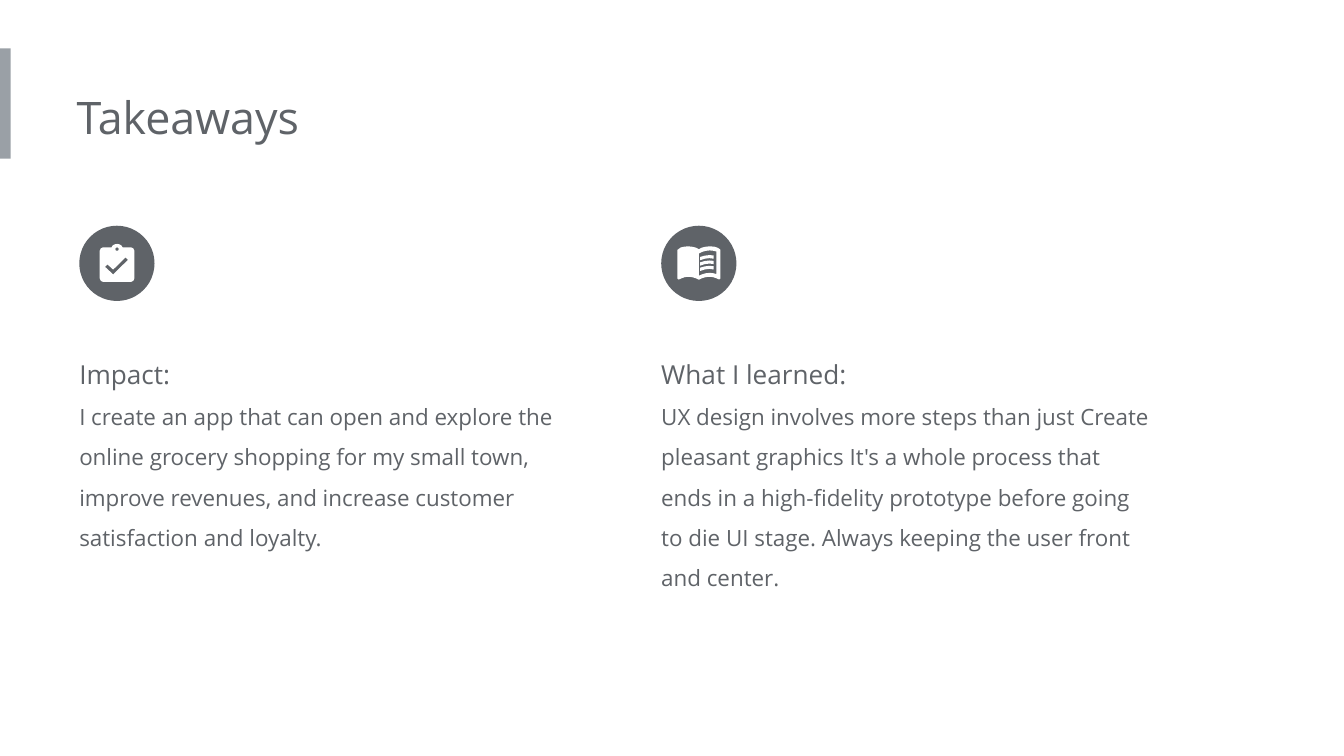
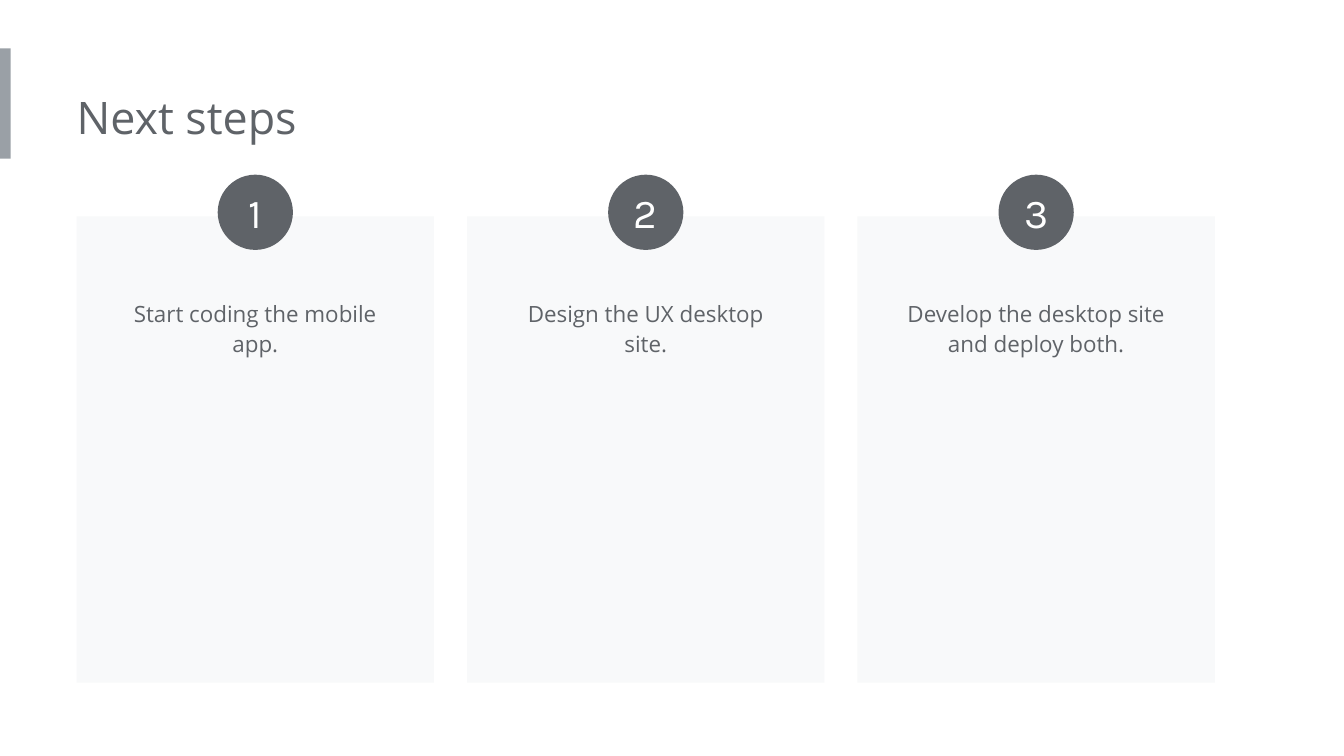
"""Builds the takeaways and next steps slides of a UX case study."""
from dataclasses import dataclass
from pptx import Presentation
from pptx.dml.color import RGBColor
from pptx.enum.shapes import MSO_SHAPE
from pptx.enum.text import MSO_ANCHOR, MSO_AUTO_SIZE, PP_ALIGN
from pptx.util import Inches, Pt

TAKEAWAYS = {
    "title": "Takeaways",
    "columns": [
        ("Impact:",
         "I create an app that can open and explore the online grocery shopping "
         "for my small town, improve revenues, and increase customer satisfaction "
         "and loyalty.", "clipboard", 1.77),
        ("What I learned:",
         "UX design involves more steps than just Create pleasant graphics It's a "
         "whole process that ends in a high-fidelity prototype before going to die "
         "UI stage. Always keeping the user front and center.", "book", 2.07),
    ],
}
NEXT_STEPS = {
    "title": "Next steps",
    "steps": ["Start coding the mobile app.", "Design the UX desktop site.",
              "Develop the desktop site and deploy both."],
}

BOOK_LINES = [
    [(290, 232 + drop), (325, 222 + drop), (360, 218 + drop), (390, 221 + drop),
     (390, 245 + drop), (360, 241 + drop), (325, 245 + drop), (290, 256 + drop)]
    for drop in (0, 40, 80)
]
ICONS = {
    "clipboard": [[
        [(384, 160), (322, 160), (313, 146), (298, 138), (281, 135), (264, 138),
         (249, 146), (240, 160), (178, 160), (160, 168), (152, 186), (152, 392),
         (160, 410), (178, 418), (384, 418), (402, 410), (410, 392), (410, 186),
         (402, 168)],
        [(281, 160), (291, 165), (294, 174), (291, 183), (281, 187), (271, 183),
         (268, 174), (271, 165)],
        [(252, 362), (192, 306), (210, 288), (252, 326), (344, 236), (362, 254)],
    ]],
    "book": [[
        [(120, 180), (145, 162), (170, 156), (200, 153), (235, 157), (260, 164),
         (280, 175), (300, 164), (325, 157), (360, 153), (395, 156), (420, 164),
         (440, 178), (440, 394), (430, 400), (410, 391), (385, 383), (360, 380),
         (330, 383), (300, 392), (280, 402), (260, 392), (230, 383), (200, 380),
         (175, 383), (150, 392), (130, 401), (120, 394)],
        [(280, 207), (300, 196), (330, 187), (360, 184), (385, 186), (410, 192),
         (410, 360), (385, 353), (360, 351), (330, 354), (300, 363), (280, 372)],
    ]] + [[line] for line in BOOK_LINES],
}


@dataclass(frozen=True)
class Theme:
    ink: str = "5F6368"
    accent: str = "9AA0A6"
    card: str = "F8F9FA"
    white: str = "FFFFFF"
    font: str = "Open Sans"
    number_font: str = "Karla"
    title: int = 24
    number: int = 22
    heading: int = 14
    body: int = 12


THEME = Theme()
WIDTH, HEIGHT = 10, 5.625
MARGIN = 0.57
BADGE = 0.56
COLUMN_LEFT, COLUMN_PITCH, COLUMN_WIDTH = 0.59, 4.33, 3.77
CARD_WIDTH, CARD_GAP, CARD_TOP, CARD_HEIGHT = 2.66, 0.245, 1.61, 3.47
STEP_WIDTH = 2.24


def paint(shape, color):
    shape.shadow.inherit = False
    shape.fill.solid()
    shape.fill.fore_color.rgb = RGBColor.from_string(color)
    shape.line.fill.background()
    return shape


def add_block(slide, kind, box, color):
    return paint(slide.shapes.add_shape(kind, *map(Inches, box)), color)


def write(frame, lines, color=THEME.ink, font=THEME.font, spacing=None, align=None):
    frame.text = "\n".join(text for text, _ in lines)
    for paragraph, (_, size) in zip(frame.paragraphs, lines):
        paragraph.alignment = align
        paragraph.line_spacing = spacing
        for run in paragraph.runs:
            run.font.name = font
            run.font.size = Pt(size)
            run.font.color.rgb = RGBColor.from_string(color)


def add_text(slide, box, lines, inset=0, **style):
    frame = slide.shapes.add_textbox(*map(Inches, box)).text_frame
    frame.word_wrap = True
    frame.auto_size = MSO_AUTO_SIZE.SHAPE_TO_FIT_TEXT
    frame.margin_left = Inches(inset)
    frame.margin_right = frame.margin_top = frame.margin_bottom = Inches(0.1)
    write(frame, lines, **style)


def add_badge(slide, left, top, number=None):
    badge = add_block(slide, MSO_SHAPE.OVAL, (left, top, BADGE, BADGE), THEME.ink)
    if number:
        frame = badge.text_frame
        frame.margin_left = frame.margin_right = 0
        frame.margin_top = frame.margin_bottom = 0
        frame.vertical_anchor = MSO_ANCHOR.MIDDLE
        write(frame, [(str(number), THEME.number)], THEME.white,
              THEME.number_font, align=PP_ALIGN.CENTER)


def add_icon(slide, icon, left, top):
    for first, *holes in ICONS[icon]:
        outline = slide.shapes.build_freeform(*first[0], scale=Inches(1) / 1000)
        outline.add_line_segments(first[1:])
        for hole in holes:
            outline.move_to(*hole[0])
            outline.add_line_segments(hole[1:])
        paint(outline.convert_to_shape(Inches(left), Inches(top)), THEME.white)


def add_titled_slide(deck, title):
    slide = deck.slides.add_slide(deck.slide_layouts[6])
    add_block(slide, MSO_SHAPE.RECTANGLE, (0, 0.36, 0.08, 0.82), THEME.accent)
    add_text(slide, (MARGIN, MARGIN, 5.39, 0.61), [(title, THEME.title)])
    return slide


def build_takeaways(deck):
    slide = add_titled_slide(deck, TAKEAWAYS["title"])
    for index, (heading, body, icon, height) in enumerate(TAKEAWAYS["columns"]):
        left = COLUMN_LEFT + index * COLUMN_PITCH
        add_text(slide, (left, 2.45, COLUMN_WIDTH, height),
                 [(heading, THEME.heading), (body, THEME.body)], spacing=1.5)
        add_badge(slide, left, 1.68)
        add_icon(slide, icon, left, 1.68)


def build_next_steps(deck):
    slide = add_titled_slide(deck, NEXT_STEPS["title"])
    for index, step in enumerate(NEXT_STEPS["steps"]):
        left = MARGIN + index * (CARD_WIDTH + CARD_GAP)
        add_block(slide, MSO_SHAPE.RECTANGLE,
                  (left, CARD_TOP, CARD_WIDTH, CARD_HEIGHT), THEME.card)
        add_text(slide, (left + (CARD_WIDTH - STEP_WIDTH) / 2, 2.1, STEP_WIDTH, 0.67),
                 [(step, THEME.body)], inset=0.1, spacing=1.15, align=PP_ALIGN.CENTER)
        add_badge(slide, left + (CARD_WIDTH - BADGE) / 2, 1.3, index + 1)


def main():
    deck = Presentation()
    deck.slide_width, deck.slide_height = Inches(WIDTH), Inches(HEIGHT)
    build_takeaways(deck)
    build_next_steps(deck)
    deck.save("out.pptx")


if __name__ == "__main__":
    main()
